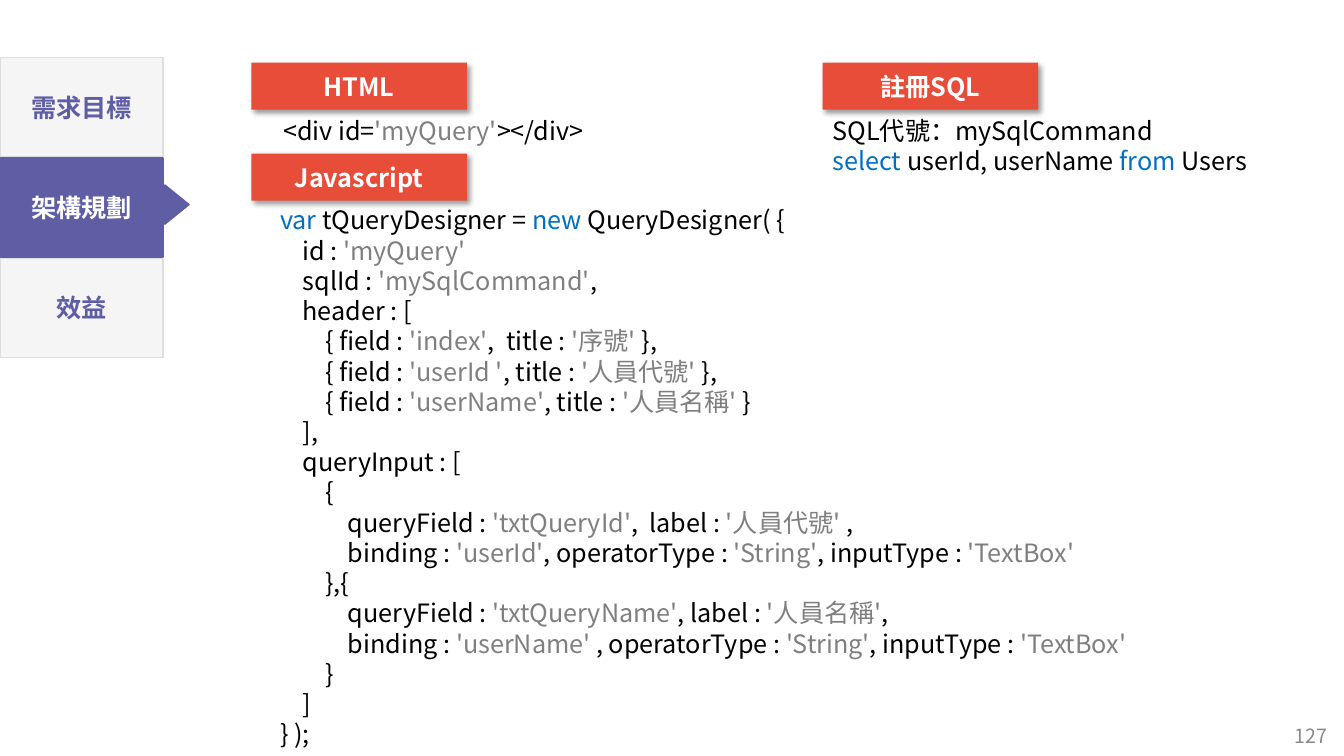
from lxml.etree import SubElement
from pptx import Presentation
from pptx.dml.color import RGBColor
from pptx.enum.shapes import MSO_SHAPE as Shape
from pptx.enum.text import MSO_ANCHOR as Anchor, MSO_AUTO_SIZE as AutoSize, PP_ALIGN as Align
from pptx.oxml import parse_xml
from pptx.oxml.ns import nsdecls, qn
from pptx.util import Pt

FONT = "Noto Sans CJK SC"
BLACK = RGBColor(0x00, 0x00, 0x00)
WHITE = RGBColor(0xFF, 0xFF, 0xFF)
BLUE = RGBColor(0x00, 0x70, 0xC0)
GREY = RGBColor(0x7F, 0x7F, 0x7F)
NUMBER_GREY = RGBColor(0x89, 0x89, 0x89)
RED = RGBColor(0xE8, 0x4D, 0x39)
PURPLE = RGBColor(0x5F, 0x5E, 0xA5)
PALE = RGBColor(0xF6, 0xF5, 0xF5)
EDGE = RGBColor(0xDE, 0xDE, 0xDE)

TABS = ["需求目標", "架構規劃", "效益"]
CURRENT_TAB = "架構規劃"
HTML = "<div id='myQuery'></div>"
SQL = """SQL代號：mySqlCommand
|select| userId, userName |from| Users"""
JAVASCRIPT = """|var| tQueryDesigner = |new| QueryDesigner( {
    id : 'myQuery'
    sqlId : 'mySqlCommand',
    header : [
        { field : 'index',  title : '序號' },
        { field : 'userId ', title : '人員代號' },
        { field : 'userName', title : '人員名稱' }
    ],
    queryInput : [
        {
            queryField : 'txtQueryId',  label : '人員代號' ,
            binding : 'userId', operatorType : 'String', inputType : 'TextBox'
        },{
            queryField : 'txtQueryName', label : '人員名稱',
            binding : 'userName' , operatorType : 'String', inputType : 'TextBox'
        }
    ]
} );"""


def set_font(font, size, color, bold=False):
    """Set the typeface, size, colour and weight of a font."""
    font.name, font.size, font.bold = FONT, Pt(size), bold
    font.color.rgb = color


def add_span(para, text, color=None):
    """Add a run that uses the slide's typeface for all scripts."""
    span = para.add_run()
    span.text = text
    span.font.name = FONT
    SubElement(span.font._element, qn("a:ea")).set("typeface", FONT)
    if color is not None:
        span.font.color.rgb = color


def code_spans(line):
    """Yield text and colour pairs: quoted strings grey, words between bars blue."""
    for index, part in enumerate(line.split("'")):
        if index % 2:
            yield f"'{part}'", GREY
            continue
        for place, piece in enumerate(part.split("|")):
            if piece:
                yield piece, BLUE if place % 2 else BLACK


def add_code(page, code, left, top, width, height):
    """Add a text box with coloured code lines."""
    frame = page.shapes.add_textbox(Pt(left), Pt(top), Pt(width), Pt(height)).text_frame
    frame.word_wrap = False
    frame.auto_size = AutoSize.SHAPE_TO_FIT_TEXT
    for number, line in enumerate(code.splitlines()):
        para = frame.add_paragraph() if number else frame.paragraphs[0]
        set_font(para.font, 18, BLACK)
        for text, color in code_spans(line):
            add_span(para, text, color)


def add_label(box, text, size, color, bold=True):
    """Write one centred line in a box."""
    frame = box.text_frame
    frame.vertical_anchor = Anchor.MIDDLE
    para = frame.paragraphs[0]
    para.alignment = Align.CENTER
    set_font(para.font, size, color, bold)
    add_span(para, text)


def add_block(page, kind, left, top, width, height, fill, edge=None):
    """Add a filled shape with an optional thin outline."""
    box = page.shapes.add_shape(kind, Pt(left), Pt(top), Pt(width), Pt(height))
    box.shadow.inherit = False
    box.fill.solid()
    box.fill.fore_color.rgb = fill
    if edge is None:
        box.line.fill.background()
    else:
        box.line.color.rgb = edge
        box.line.width = Pt(1)
    return box


def add_heading(page, text, left, top):
    """Add a red heading with a soft shadow."""
    box = add_block(page, Shape.RECTANGLE, left, top, 154, 33.6, RED)
    effects = box._element.spPr.find(qn("a:effectLst"))
    effects.append(parse_xml(
        f'<a:outerShdw {nsdecls("a")} blurRad="{Pt(4)}" dist="{Pt(3)}" dir="2700000" '
        'algn="tl" rotWithShape="0"><a:srgbClr val="000000"><a:alpha val="40000"/>'
        '</a:srgbClr></a:outerShdw>'))
    add_label(box, text, 18, WHITE)


def add_tabs(page):
    """Stack the section tabs and point an arrow out of the current one."""
    for index, name in enumerate(TABS):
        current = name == CURRENT_TAB
        fill, edge, color = (PURPLE, PURPLE, WHITE) if current else (PALE, EDGE, PURPLE)
        top = 41.2 + 71.7 * index
        tab = add_block(page, Shape.RECTANGLE, 0, top, 116.6, 70.6, fill, edge)
        add_label(tab, name, 18, color)
        if current:
            arrow = add_block(page, Shape.FLOWCHART_EXTRACT, 112.4, top + 24.6, 28, 17.3,
                              PURPLE, PURPLE)
            arrow.rotation = 90


def main():
    """Build the slide and save it."""
    deck = Presentation()
    deck.slide_width, deck.slide_height = Pt(960), Pt(540)
    page = deck.slides.add_slide(deck.slide_layouts[6])
    add_code(page, JAVASCRIPT, 193, 142.6, 620, 397.4)
    add_heading(page, "HTML", 179.5, 44.8)
    add_heading(page, "Javascript", 179.5, 109.7)
    add_code(page, SQL, 587.5, 78.5, 312, 51.8)
    add_heading(page, "註冊SQL", 587.5, 44.8)
    add_code(page, HTML, 195.1, 78.5, 258.5, 28.8)
    add_tabs(page)
    number = page.shapes.add_textbox(Pt(910.8), Pt(511.2), Pt(51.1), Pt(28.8))
    number.text_frame.word_wrap = True
    add_label(number, "127", 14, NUMBER_GREY, bold=False)
    deck.save("out.pptx")


if __name__ == "__main__":
    main()
